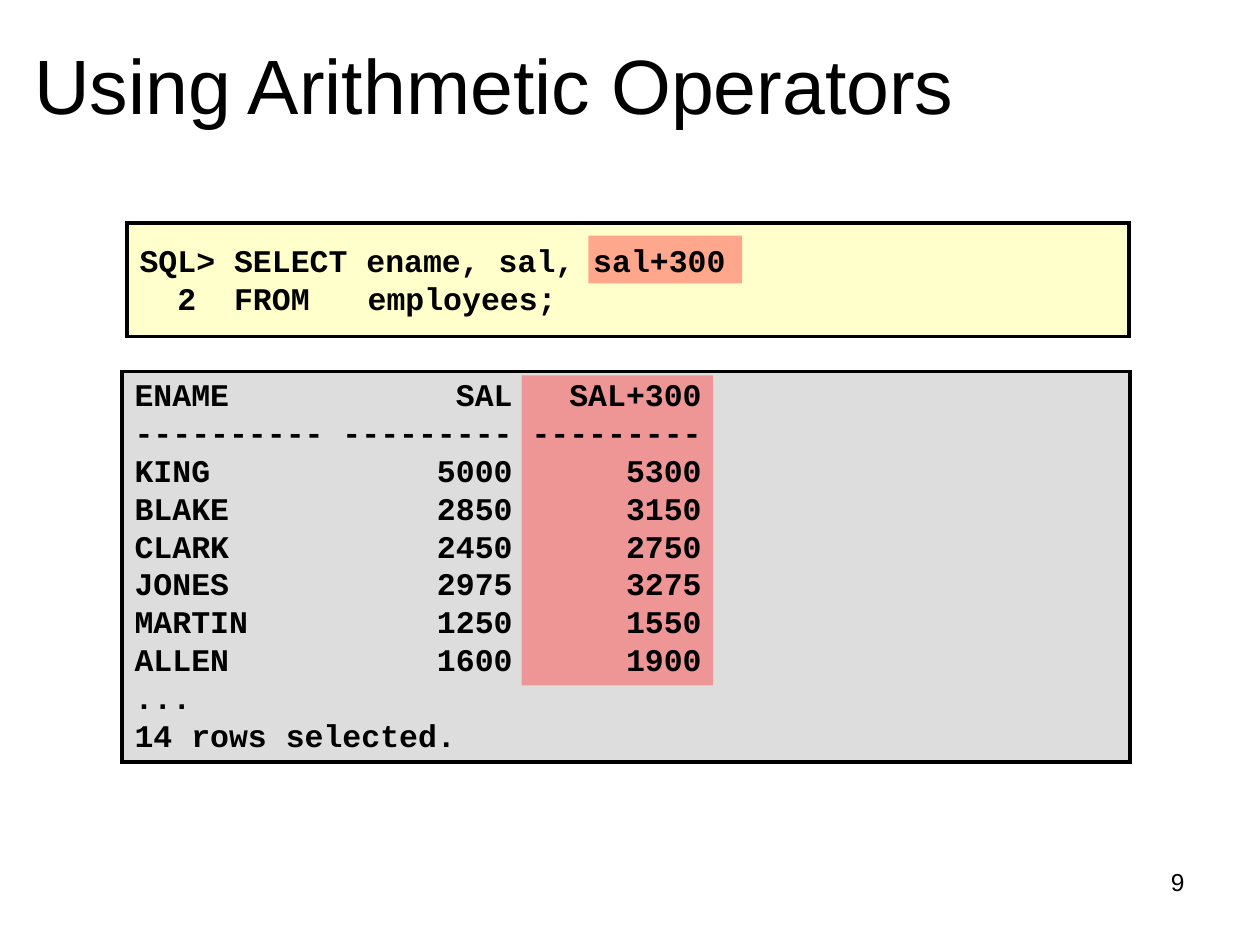
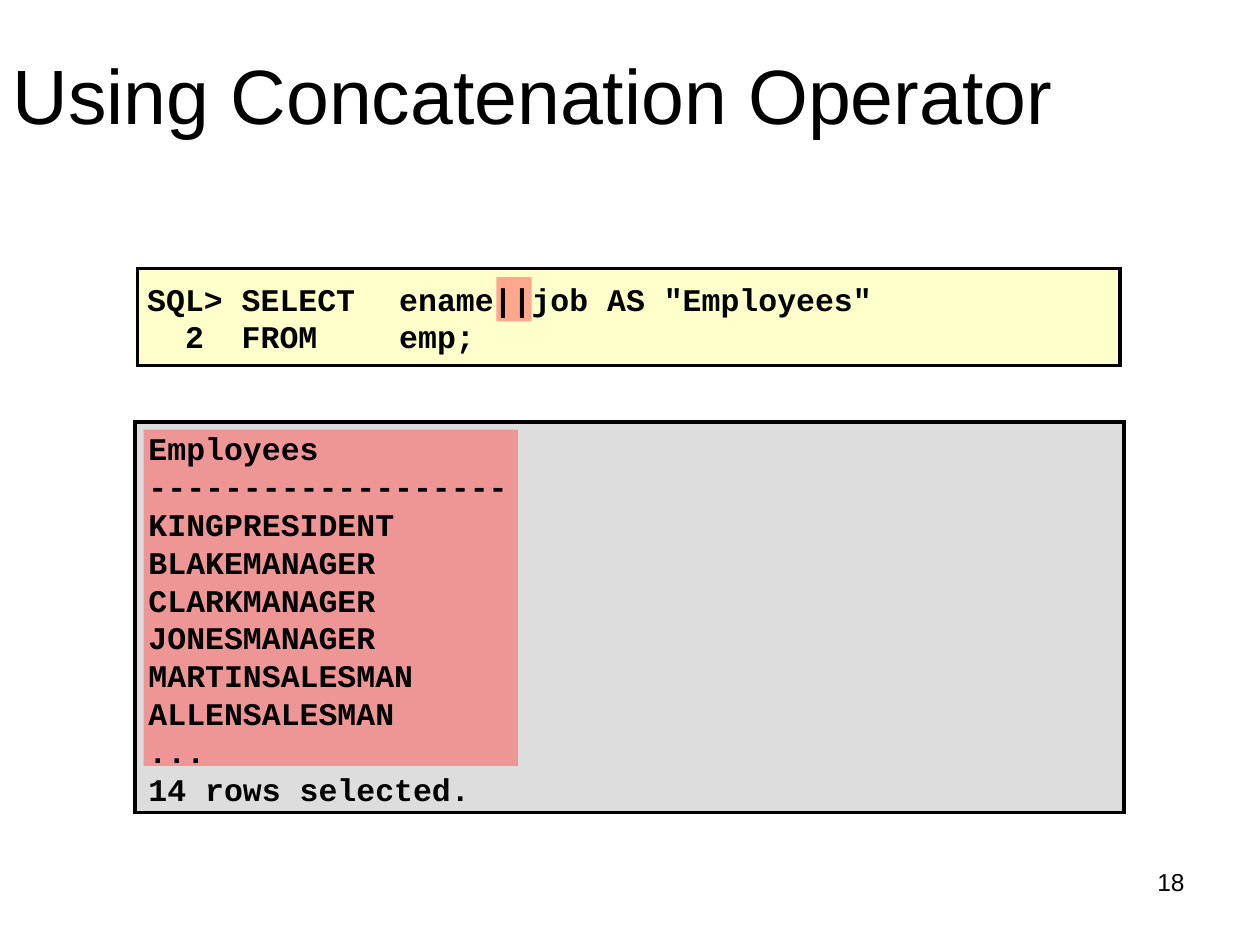
"""Build two SQL slides, each with a statement, its output and highlights."""
from dataclasses import dataclass

from lxml import etree
from pptx import Presentation
from pptx.dml.color import RGBColor
from pptx.enum.shapes import MSO_SHAPE
from pptx.enum.text import MSO_ANCHOR, PP_ALIGN
from pptx.oxml.ns import qn
from pptx.util import Inches, Pt

RECTANGLE = MSO_SHAPE.RECTANGLE
TOP, MIDDLE = MSO_ANCHOR.TOP, MSO_ANCHOR.MIDDLE
LEFT, RIGHT = PP_ALIGN.LEFT, PP_ALIGN.RIGHT
TITLE_ONLY = 5

SLIDES = [
    {
        "title": "Using Arithmetic Operators",
        "title_at": (0.17, 0.25),
        "page": "9",
        "statement": ["SQL> SELECT ename, sal, sal+300", "  2  FROM\temployees;"],
        "tab": 1.81,
        "statement_panel": (1.01, 1.77, 7.95, 0.9),
        "statement_box": (1.01, 1.75, 7.97, 0.93),
        "output": [
            "ENAME            SAL   SAL+300",
            "---------- --------- ---------",
            "KING            5000      5300",
            "BLAKE           2850      3150",
            "CLARK           2450      2750",
            "JONES           2975      3275",
            "MARTIN          1250      1550",
            "ALLEN           1600      1900",
            "...",
            "14 rows selected.",
        ],
        "output_panel": (0.97, 2.95, 8, 3.1),
        "output_box": (0.97, 2.93, 8.03, 3.1),
        "highlights": [(4.67, 1.87, 1.22, 0.38), (4.14, 2.98, 1.52, 2.46)],
    },
    {
        "title": "Using Concatenation Operator",
        "title_at": (0, 0.33),
        "page": "18",
        "statement": ["SQL> SELECT\tename||job AS \"Employees\"", "  2  FROM \temp;"],
        "tab": 2,
        "statement_panel": (1.09, 2.13, 7.8, 0.77),
        "statement_box": (1.07, 2.12, 7.82, 0.8),
        "output": [
            "Employees",
            "-------------------",
            "KINGPRESIDENT",
            "BLAKEMANAGER",
            "CLARKMANAGER",
            "JONESMANAGER",
            "MARTINSALESMAN",
            "ALLENSALESMAN",
            "...",
            "14 rows selected.",
        ],
        "output_panel": (1.07, 3.35, 7.85, 3.1),
        "output_box": (1.08, 3.36, 7.82, 3.1),
        "highlights": [(3.94, 2.2, 0.28, 0.35), (1.14, 3.41, 2.97, 2.67)],
    },
]


@dataclass(frozen=True)
class Theme:
    ink: str = "000000"
    statement_fill: str = "FFFFCC"
    output_fill: str = "DDDDDD"
    highlight: str = "FF5050"
    highlight_alpha: int = 50
    border: float = 2
    text_font: str = "Arial"
    code_font: str = "Courier New"
    title_size: int = 44
    code_size: int = 18
    code_pitch: float = 21.6
    page_size: int = 14
    title_extent: tuple = (8.5, 1.25)
    page_box: tuple = (7.17, 6.83, 2.33, 0.52)


THEME = Theme()


def inches(bounds):
    return [Inches(length) for length in bounds]


def style(frame, font, size, bold=False, align=LEFT, anchor=TOP):
    frame.word_wrap = True
    frame.vertical_anchor = anchor
    for paragraph in frame.paragraphs:
        paragraph.alignment = align
        for run in paragraph.runs:
            run.font.name = font
            run.font.size = Pt(size)
            run.font.bold = bold
            run.font.color.rgb = RGBColor.from_string(THEME.ink)


def add_title(slide, text, position):
    title = slide.shapes.title
    title.left, title.top, title.width, title.height = inches(position + THEME.title_extent)
    title.text_frame.text = text
    style(title.text_frame, THEME.text_font, THEME.title_size)


def add_page_number(slide, number):
    frame = slide.shapes.add_textbox(*inches(THEME.page_box)).text_frame
    frame.text = number
    style(frame, THEME.text_font, THEME.page_size, align=RIGHT)


def add_block(slide, bounds, color):
    block = slide.shapes.add_shape(RECTANGLE, *inches(bounds))
    block.shadow.inherit = False
    block.fill.solid()
    block.fill.fore_color.rgb = RGBColor.from_string(color)
    return block


def add_panel(slide, bounds, color):
    line = add_block(slide, bounds, color).line
    line.color.rgb = RGBColor.from_string(THEME.ink)
    line.width = Pt(THEME.border)
    etree.SubElement(line._get_or_add_ln(), qn("a:miter"), lim="800000")


def add_highlight(slide, bounds):
    highlight = add_block(slide, bounds, THEME.highlight)
    highlight.line.fill.background()
    color = highlight.fill._xPr.find(".//" + qn("a:srgbClr"))
    etree.SubElement(color, qn("a:alpha"), val=str(THEME.highlight_alpha * 1000))


def add_code(slide, bounds, lines, anchor=TOP, tab=None):
    frame = slide.shapes.add_textbox(*inches(bounds)).text_frame
    frame.text = "\n".join(lines)
    for paragraph in frame.paragraphs:
        paragraph.line_spacing = Pt(THEME.code_pitch)
        if tab:
            stops = etree.SubElement(paragraph._p.get_or_add_pPr(), qn("a:tabLst"))
            etree.SubElement(stops, qn("a:tab"), pos=str(Inches(tab)), algn="l")
    style(frame, THEME.code_font, THEME.code_size, bold=True, anchor=anchor)


def build_slide(deck, content):
    slide = deck.slides.add_slide(deck.slide_layouts[TITLE_ONLY])
    add_title(slide, content["title"], content["title_at"])
    add_page_number(slide, content["page"])
    add_panel(slide, content["statement_panel"], THEME.statement_fill)
    add_panel(slide, content["output_panel"], THEME.output_fill)
    for bounds in content["highlights"]:
        add_highlight(slide, bounds)
    add_code(slide, content["statement_box"], content["statement"], MIDDLE, content["tab"])
    add_code(slide, content["output_box"], content["output"])


def main():
    deck = Presentation()
    deck.slide_width, deck.slide_height = Inches(10), Inches(7.5)
    for content in SLIDES:
        build_slide(deck, content)
    deck.save("out.pptx")


if __name__ == "__main__":
    main()
